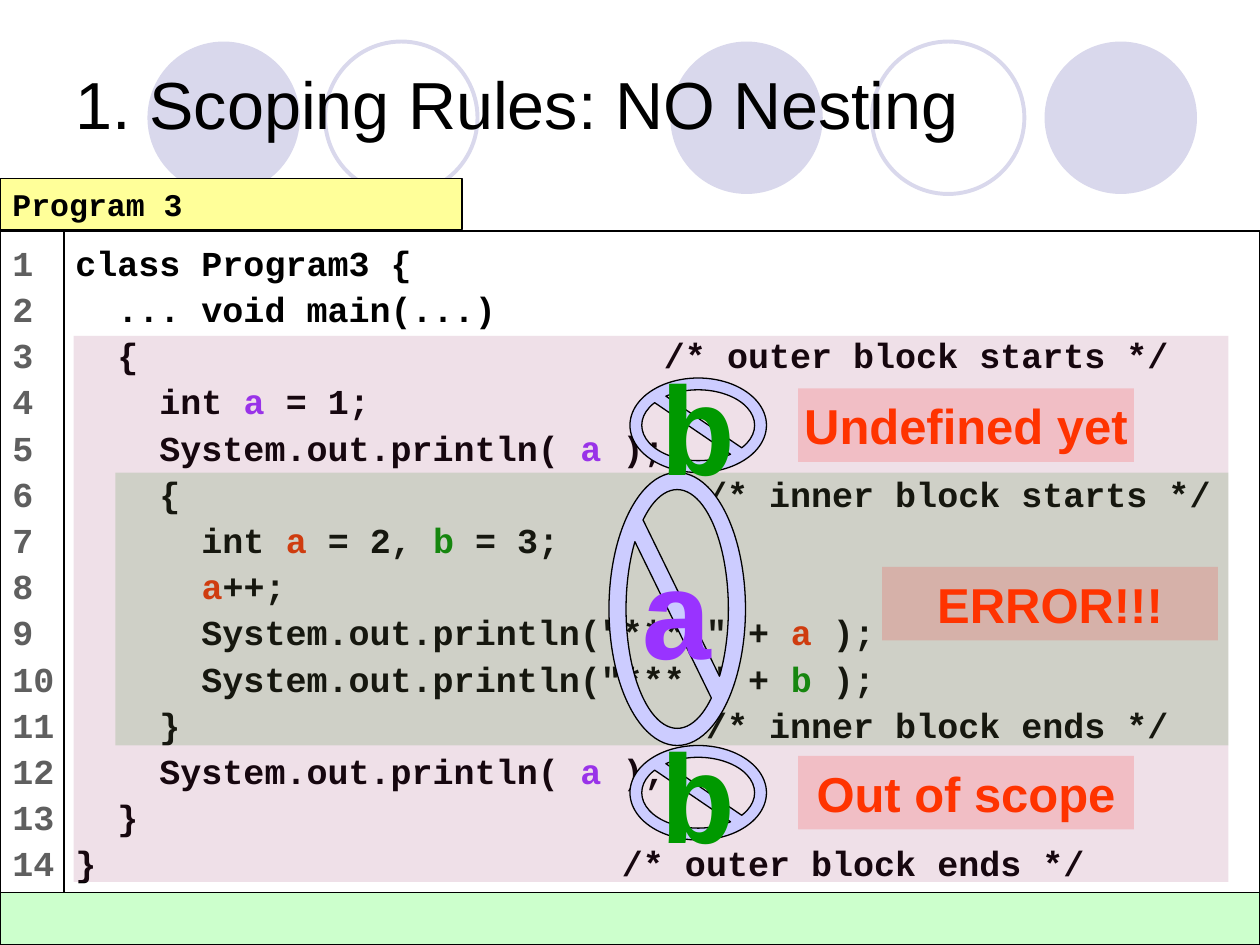
"""Build the slide on scoping rules without nesting."""
from dataclasses import dataclass
from typing import Any, Optional

from lxml import etree
from pptx import Presentation
from pptx import util as u
from pptx.dml.color import RGBColor
from pptx.enum import shapes, text
from pptx.oxml.ns import qn

COLS, ROWS = 120, 90
INKS = {"k": "000000", "p": "9933FF", "r": "FF3300", "g": "009900"}
CODE = """class Program3 {
  ... void main(...)
  {                         /* outer block starts */
    int ~pa~ = 1;
    System.out.println( ~pa ~);
    {                         /* inner block starts */
      int ~ra~ = 2, ~gb~ = 3;
      ~ra~++;
      System.out.println("*** " + ~ra ~);
      System.out.println("*** " + ~gb ~);
    }                         /* inner block ends */
    System.out.println( ~pa ~);
  }
}                         /* outer block ends */""".split("\n")
NUMBERS = [str(n + 1) for n in range(len(CODE))]

MONO = {"name": "Courier New", "bold": True}
LISTING = {**MONO, "size": u.Pt(20)}
CAPTION = {**MONO, "size": u.Pt(18)}
SYMBOL = {**MONO, "size": u.Pt(72)}
WARNING = {"name": "Arial", "bold": True, "size": u.Pt(28)}
TITLE = {"name": "Arial", "bold": False, "size": u.Pt(38)}

RECT = shapes.MSO_SHAPE.RECTANGLE
OVAL = shapes.MSO_SHAPE.OVAL
BAN = shapes.MSO_SHAPE.NO_SYMBOL


@dataclass
class Box:
    """A shape placed in grid columns and rows."""
    col: float
    row: float
    cols: float
    rows: float
    fill: Optional[str] = None
    line: Optional[str] = None
    kind: Any = RECT
    weight: float = 0.75
    alpha: Optional[int] = None


@dataclass
class Label:
    """Lines of text with their format."""
    lines: list
    font: dict
    ink: str = INKS["k"]
    centred: bool = False
    spacing: float = 1.0
    right: float = 0.1


def rgb(value: str) -> RGBColor:
    """Turn a hex string into a colour."""
    return RGBColor.from_string(value)


def place(sp: Any, col: float, row: float, cols: float, rows: float) -> None:
    """Move a shape to its grid cell."""
    frame = {"left": col / COLS * 10, "top": row / ROWS * 7.5,
             "width": cols / COLS * 10, "height": rows / ROWS * 7.5}
    for key, value in frame.items():
        setattr(sp, key, u.Inches(value))


def add_run(p: Any, words: str, font: dict, ink: str) -> None:
    """Append one formatted run to a paragraph."""
    r = p.add_run()
    r.text = words
    for key, value in font.items():
        setattr(r.font, key, value)
    r.font.color.rgb = rgb(ink)


def write(sp: Any, label: Label) -> None:
    """Write the label, inking the parts between tildes."""
    tf = sp.text_frame
    frame = {
        "word_wrap": not label.centred,
        "vertical_anchor": text.MSO_ANCHOR.MIDDLE if label.centred else text.MSO_ANCHOR.TOP,
        "margin_left": u.Inches(0.1), "margin_right": u.Inches(label.right),
        "margin_top": u.Inches(0.05), "margin_bottom": u.Inches(0.05),
    }
    for key, value in frame.items():
        setattr(tf, key, value)
    for i, line in enumerate(label.lines):
        p = tf.add_paragraph() if i else tf.paragraphs[0]
        p.alignment = text.PP_ALIGN.CENTER if label.centred else text.PP_ALIGN.LEFT
        p.line_spacing = label.spacing
        for j, part in enumerate(line.split("~")):
            if j % 2:
                add_run(p, part[1:], label.font, INKS[part[0]])
            elif part:
                add_run(p, part, label.font, label.ink)


def draw(s: Any, box: Box, label: Optional[Label] = None) -> Any:
    """Draw a box and its label."""
    sp = s.shapes.add_shape(box.kind, 0, 0, 0, 0)
    place(sp, box.col, box.row, box.cols, box.rows)
    sp.shadow.inherit = False
    if box.fill:
        sp.fill.solid()
        sp.fill.fore_color.rgb = rgb(box.fill)
    else:
        sp.fill.background()
    if box.alpha is not None:
        tint = next(sp._element.spPr.iter(qn("a:srgbClr")))
        etree.SubElement(tint, qn("a:alpha"), val=str(box.alpha * 1000))
    if box.line:
        sp.line.color.rgb = rgb(box.line)
        sp.line.width = u.Pt(box.weight)
    else:
        sp.line.fill.background()
    if label:
        write(sp, label)
    return sp


def draw_circles(s: Any) -> None:
    """Draw the row of filled and outlined circles."""
    tint = "D9D8EC"
    for col, solid in ((63.84, True), (99.48, True), (14.04, True), (83.04, False), (30.96, False)):
        draw(s, Box(col, 3.96, 14.52, 14.52, tint if solid else None,
                    None if solid else tint, OVAL, 2.25))


def add_title(s: Any, words: str) -> None:
    """Fill the title placeholder and lift it above the circles."""
    sp = s.shapes.title
    place(sp, 6, 3.6, 108, 12.36)
    write(sp, Label([words], TITLE))
    sp.text_frame.vertical_anchor = text.MSO_ANCHOR.MIDDLE
    s.shapes._spTree.append(sp._element)


def draw_ban(s: Any, box: Box, letter: str, ink: str) -> None:
    """Draw a prohibition sign over a variable's letter."""
    sp = draw(s, box, Label([letter], SYMBOL, INKS[ink], True))
    sp.adjustments[0] = 0.125


def draw_warning(s: Any, col: float, row: float, words: str) -> None:
    """Draw a translucent red warning."""
    draw(s, Box(col, row, 32, 7, "FF0000", alpha=15), Label([words], WARNING, INKS["r"], True))


def main() -> None:
    """Build and save the slide."""
    prs = Presentation()
    prs.slide_width, prs.slide_height = u.Inches(10), u.Inches(7.5)
    s = prs.slides.add_slide(prs.slide_layouts[5])
    draw_circles(s)
    add_title(s, "1. Scoping Rules: NO Nesting")

    black, white = INKS["k"], "FFFFFF"
    draw(s, Box(6, 22, 114, 63, white, black), Label(CODE, LISTING, spacing=1.1))
    draw(s, Box(0, 22, 6.1, 63, white, black),
         Label(NUMBERS, LISTING, "5F5F5F", spacing=1.1, right=0))
    draw(s, Box(0, 17, 44, 4.85, "FFFF99", black), Label(["Program 3"], CAPTION))
    draw(s, Box(0, 85, 120, 5, "CCFFCC", black))

    draw(s, Box(11, 45, 106, 26, "008000", alpha=15))
    draw(s, Box(7, 32, 110, 52, "993366", alpha=15))

    draw_ban(s, Box(58, 45, 13, 26, "CCCCFF", black, BAN), "a", "p")
    draw_warning(s, 84, 54, "ERROR!!!")
    for row, words in ((72, "Out of scope"), (37, "Undefined yet")):
        draw_warning(s, 76, row, words)
        draw_ban(s, Box(60, row - 1, 13, 9, "CCCCFF", black, BAN), "b", "g")
    prs.save("out.pptx")


if __name__ == "__main__":
    main()
